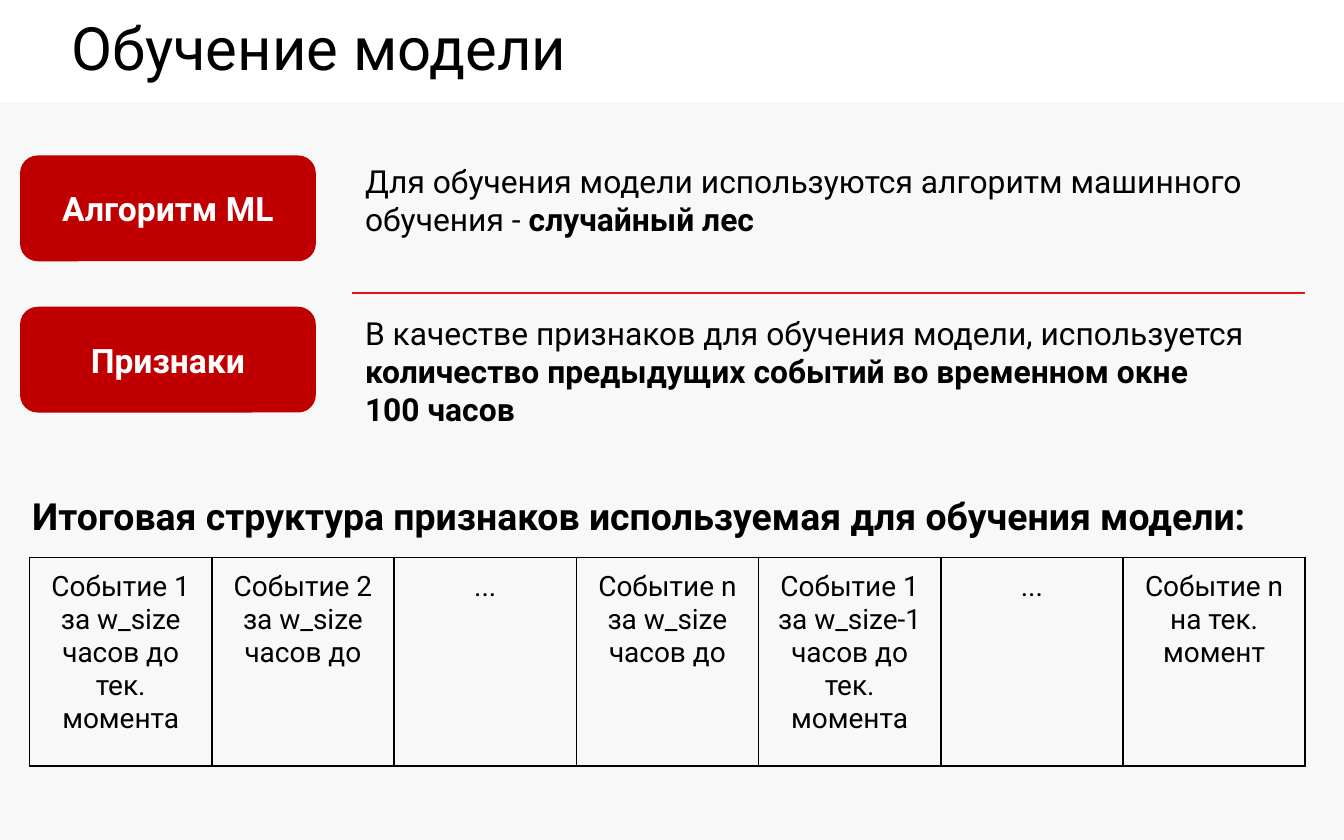
import lxml.etree
import pptx
import pptx.dml.color
import pptx.enum.shapes
import pptx.enum.text
import pptx.oxml.ns
import pptx.util

Cm, Pt = pptx.util.Cm, pptx.util.Pt
qn = pptx.oxml.ns.qn
ALIGN = pptx.enum.text.PP_ALIGN
ANCHOR = pptx.enum.text.MSO_ANCHOR
SHAPE = pptx.enum.shapes.MSO_SHAPE

THEME = {
    "font": "Roboto",
    "colors": {name: pptx.dml.color.RGBColor.from_string(code) for name, code in {
        "background": "F8F8F8", "band": "FFFFFF", "label": "C00000",
        "label_text": "FFFFFF", "text": "000000", "rule": "E21515",
    }.items()},
    "sizes": {"title": Pt(32), "heading": Pt(20), "label": Pt(18),
              "body": Pt(17), "cell": Pt(15)},
}
COLORS = THEME["colors"]


def write(frame, runs, size, color="text", align=ALIGN.LEFT, anchor=ANCHOR.TOP, before=3.6):
    """Fill a text frame with one paragraph of (text, bold) runs; a newline is a line break."""
    frame.word_wrap = True
    frame.vertical_anchor = anchor
    paragraph = frame.paragraphs[0]
    paragraph.alignment = align
    paragraph.space_before = Pt(before)
    for text, bold in runs:
        for number, line in enumerate(text.split("\n")):
            if number:
                paragraph.add_line_break()
            run = paragraph.add_run()
            run.text = line
            formats = {"name": THEME["font"], "size": THEME["sizes"][size], "bold": bold}
            for key, value in formats.items():
                setattr(run.font, key, value)
            run.font.color.rgb = COLORS[color]


def add_block(kind, left, top, width, height, fill):
    block = slide.shapes.add_shape(kind, Cm(left), Cm(top), Cm(width), Cm(height))
    block.shadow.inherit = False
    block.fill.solid()
    block.fill.fore_color.rgb = COLORS[fill]
    block.line.fill.background()
    return block


deck = pptx.Presentation()
deck.slide_width, deck.slide_height = Cm(25.4), Cm(15.88)
slide = deck.slides.add_slide(deck.slide_layouts.get_by_name("Title Only"))
slide.background.fill.solid()
slide.background.fill.fore_color.rgb = COLORS["background"]

# Header: the band goes behind the title placeholder
band = add_block(SHAPE.RECTANGLE, 0, 0, 25.4, 1.93, "band")
title = slide.shapes.title
title_box = {"left": Cm(1.09), "top": Cm(-0.05), "width": Cm(21.82), "height": Cm(1.85)}
for key, value in title_box.items():
    setattr(title, key, value)
title._element.addprevious(band._element)
title.text_frame.auto_size = pptx.enum.text.MSO_AUTO_SIZE.NONE
write(title.text_frame, [("Обучение модели", False)], "title", anchor=ANCHOR.MIDDLE, before=0)

# Labels with their explanations
topics = [
    ("Алгоритм ML", [
        ("Для обучения модели используются алгоритм машинного обучения - ", False),
        ("случайный лес", True)]),
    ("Признаки", [
        ("В качестве признаков для обучения модели, используется ", False),
        ("количество предыдущих событий во временном окне\n100 часов", True)]),
]
for row, (name, explanation) in enumerate(topics):
    top = 2.94 + row * 2.86
    label = add_block(SHAPE.ROUNDED_RECTANGLE, 0.38, top, 5.59, 2, "label")
    write(label.text_frame, [(name, True)], "label", "label_text",
          ALIGN.CENTER, ANCHOR.MIDDLE, before=0)
    note = slide.shapes.add_textbox(Cm(6.65), Cm(top), Cm(18.75), Cm(2.6))
    write(note.text_frame, explanation, "body")

divider = slide.shapes.add_connector(
    pptx.enum.shapes.MSO_CONNECTOR.STRAIGHT, Cm(6.65), Cm(5.54), Cm(24.66), Cm(5.54))
divider.line.color.rgb = COLORS["rule"]
divider.line.width = Pt(0.75)
lxml.etree.SubElement(divider._element.spPr, qn("a:effectLst"))

# Feature structure
heading = slide.shapes.add_textbox(Cm(0.36), Cm(9.19), Cm(24.69), Cm(1.3))
write(heading.text_frame,
      [("Итоговая структура признаков используемая для обучения модели:", True)], "heading")

features = [
    "Событие 1 за w_size часов до тек. момента",
    "Событие 2 за w_size часов до",
    "...",
    "Событие n за w_size часов до",
    "Событие 1 за w_size-1 часов до тек. момента",
    "...",
    "Событие n на тек. момент",
]
structure = slide.shapes.add_table(
    1, len(features), Cm(0.56), Cm(10.54), Cm(24.11), Cm(3.94)).table
structure.first_row = structure.horz_banding = False
for column, feature in enumerate(features):
    cell = structure.cell(0, column)
    for side in ("left", "right", "top", "bottom"):
        setattr(cell, "margin_" + side, Cm(0.25))
    write(cell.text_frame, [(feature, False)], "cell", align=ALIGN.CENTER)
    properties = cell._tc.get_or_add_tcPr()
    for edge in ("a:lnL", "a:lnR", "a:lnT", "a:lnB"):
        border = lxml.etree.SubElement(properties, qn(edge), w=str(Pt(1)))
        paint = lxml.etree.SubElement(border, qn("a:solidFill"))
        lxml.etree.SubElement(paint, qn("a:srgbClr"), val=str(COLORS["text"]))
    cell.fill.background()

deck.save("out.pptx")
